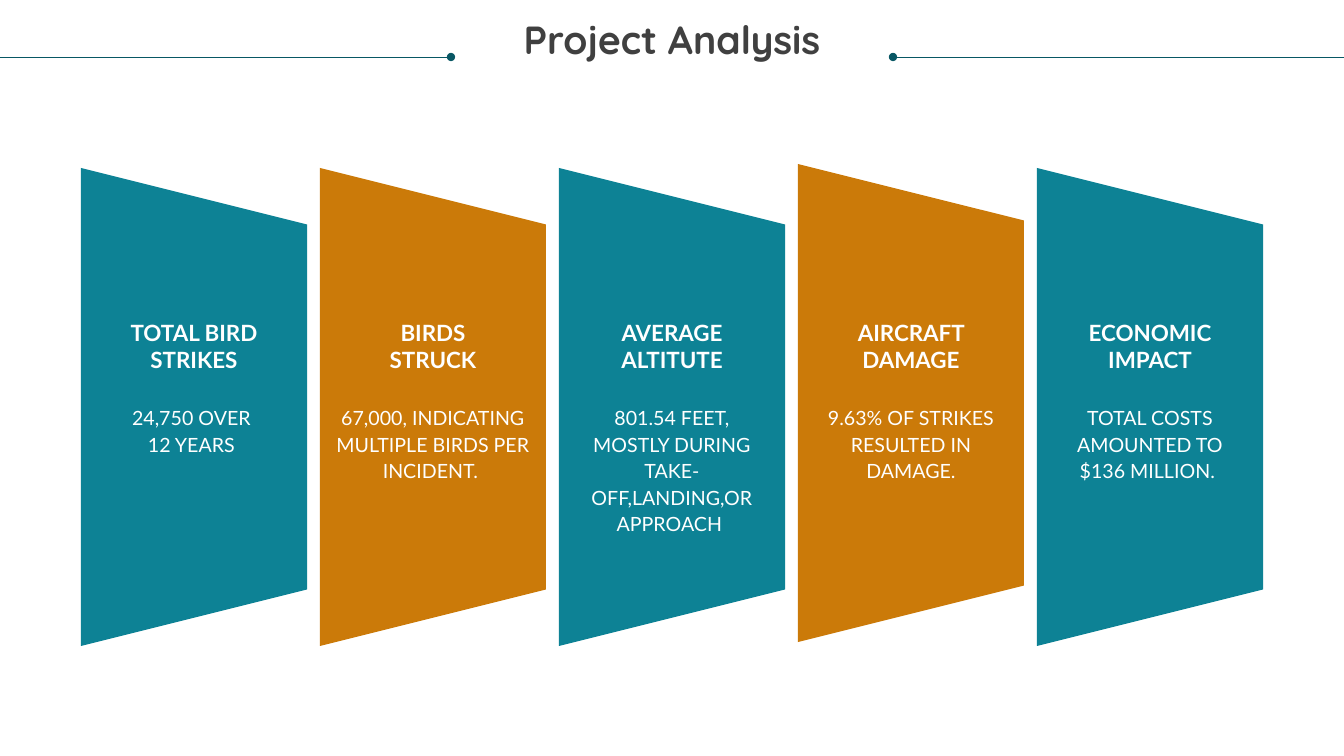
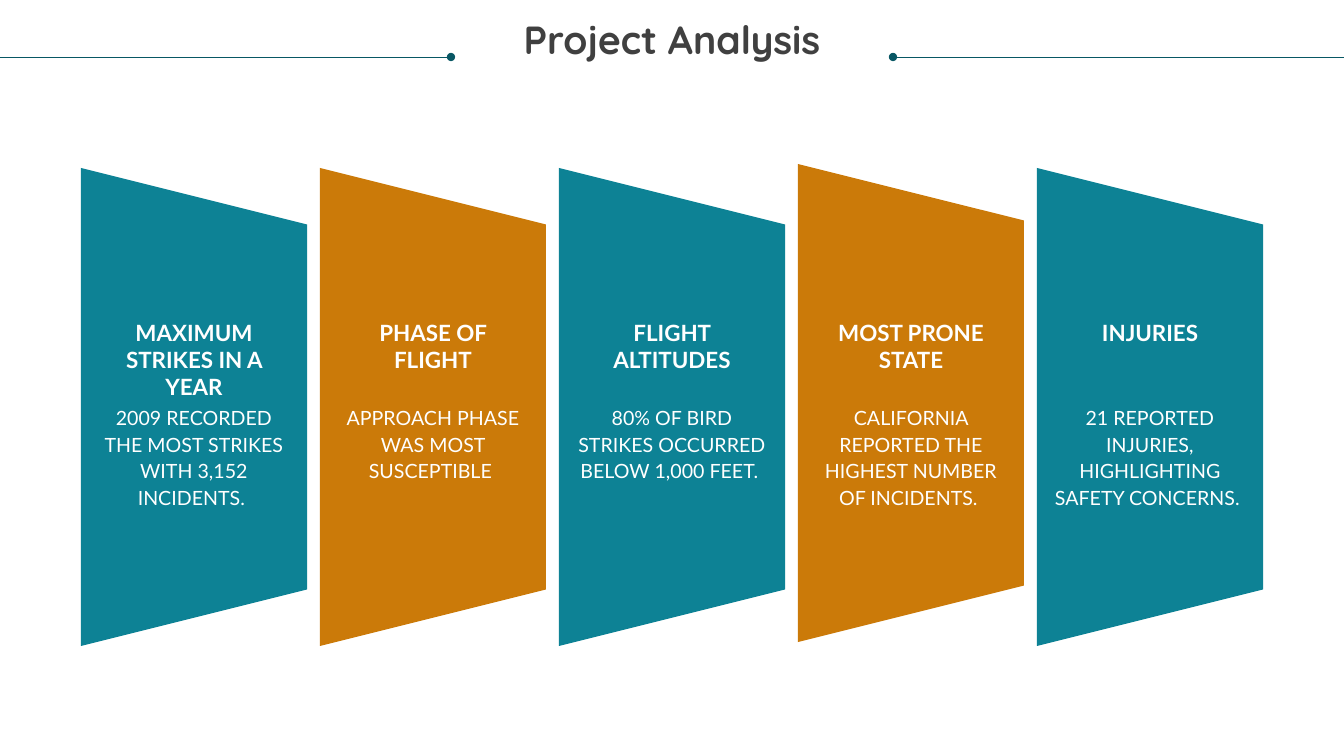
from lxml.etree import SubElement
from pptx import Presentation
from pptx.dml.color import RGBColor
from pptx.enum.shapes import MSO_CONNECTOR, MSO_SHAPE
from pptx.enum.text import MSO_ANCHOR, PP_ALIGN
from pptx.oxml.ns import qn
from pptx.util import Emu, Pt

COLORS = {
    "teal": "0D8295",
    "orange": "CB7A09",
    "rule": "085764",
    "title": "404040",
    "white": "FFFFFF",
}
SLIDE_W, SLIDE_H = 1344, 756
PANEL_W, PANEL_H = 226, 478
PANEL_PITCH = 239
FIRST_CENTER = 194
PANEL_MIDDLES = [407, 407, 407, 403, 407]
HEADING_W, BODY_W = 151, 194
RULE_Y = 57
RULES = [(0, 451, "tailEnd"), (893, SLIDE_W, "headEnd")]

TITLE = "Project Analysis"
SLIDES = [
    [
        ("TOTAL BIRD STRIKES", "24,750 OVER \n12 YEARS "),
        ("BIRDS STRUCK", "67,000, INDICATING MULTIPLE BIRDS PER INCIDENT. "),
        ("AVERAGE ALTITUTE", "801.54 FEET, MOSTLY DURING TAKE-OFF,LANDING,OR APPROACH "),
        ("AIRCRAFT DAMAGE", "9.63% OF STRIKES RESULTED IN DAMAGE."),
        ("ECONOMIC IMPACT", "TOTAL COSTS AMOUNTED TO $136 MILLION. "),
    ],
    [
        ("MAXIMUM STRIKES IN A YEAR", "2009 RECORDED THE MOST STRIKES WITH 3,152 INCIDENTS. "),
        ("PHASE OF FLIGHT", "APPROACH PHASE WAS MOST SUSCEPTIBLE "),
        ("FLIGHT ALTITUDES", "80% OF BIRD STRIKES OCCURRED BELOW 1,000 FEET. "),
        ("MOST PRONE STATE", "CALIFORNIA REPORTED THE HIGHEST NUMBER OF INCIDENTS. "),
        ("INJURIES", "21 REPORTED INJURIES, HIGHLIGHTING SAFETY CONCERNS. "),
    ],
]


def px(length):
    return Emu(round(length * 914400 / 100.8))


def add_text(slide, text, center, top, width, height, font, size, color, bold, spacing):
    box = slide.shapes.add_textbox(px(center - width / 2), px(top), px(width), px(height))
    frame = box.text_frame
    frame.word_wrap = True
    frame.vertical_anchor = MSO_ANCHOR.TOP
    frame.margin_left = frame.margin_right = frame.margin_top = frame.margin_bottom = 0
    frame.text = text
    for paragraph in frame.paragraphs:
        paragraph.alignment = PP_ALIGN.CENTER
        paragraph.line_spacing = spacing
        for run in paragraph.runs:
            run.font.name = font
            run.font.size = Pt(size)
            run.font.bold = bold
            run.font.color.rgb = RGBColor.from_string(COLORS[color])


prs = Presentation()
prs.slide_width, prs.slide_height = px(SLIDE_W), px(SLIDE_H)

for panels in SLIDES:
    slide = prs.slides.add_slide(prs.slide_layouts[6])

    for start, end, dot_end in RULES:
        rule = slide.shapes.add_connector(
            MSO_CONNECTOR.STRAIGHT, px(start), px(RULE_Y), px(end), px(RULE_Y))
        rule.line.width = Pt(0.5)
        rule.line.color.rgb = RGBColor.from_string(COLORS["rule"])
        properties = rule._element.spPr
        SubElement(properties.find(qn("a:ln")), qn(f"a:{dot_end}"), type="oval")
        SubElement(properties, qn("a:effectLst"))

    add_text(slide, TITLE, SLIDE_W / 2, 21, 1293, 86, "Quicksand", 28, "title", True, 0.9)

    for index, (heading, body) in enumerate(panels):
        center = FIRST_CENTER + index * PANEL_PITCH
        middle = PANEL_MIDDLES[index]
        panel = slide.shapes.add_shape(
            MSO_SHAPE.TRAPEZOID, px(center - PANEL_H / 2), px(middle - PANEL_W / 2),
            px(PANEL_H), px(PANEL_W))
        panel.rotation = 90
        panel.shadow.inherit = False
        panel.fill.solid()
        panel.fill.fore_color.rgb = RGBColor.from_string(COLORS[("teal", "orange")[index % 2]])
        panel.line.fill.background()

        add_text(slide, heading, center, 319, HEADING_W, 54, "Lato", 16, "white", True, 1.0)
        add_text(slide, body, center, 403, BODY_W, 105, "Lato", 14, "white", False, Pt(19))

prs.save("out.pptx")
